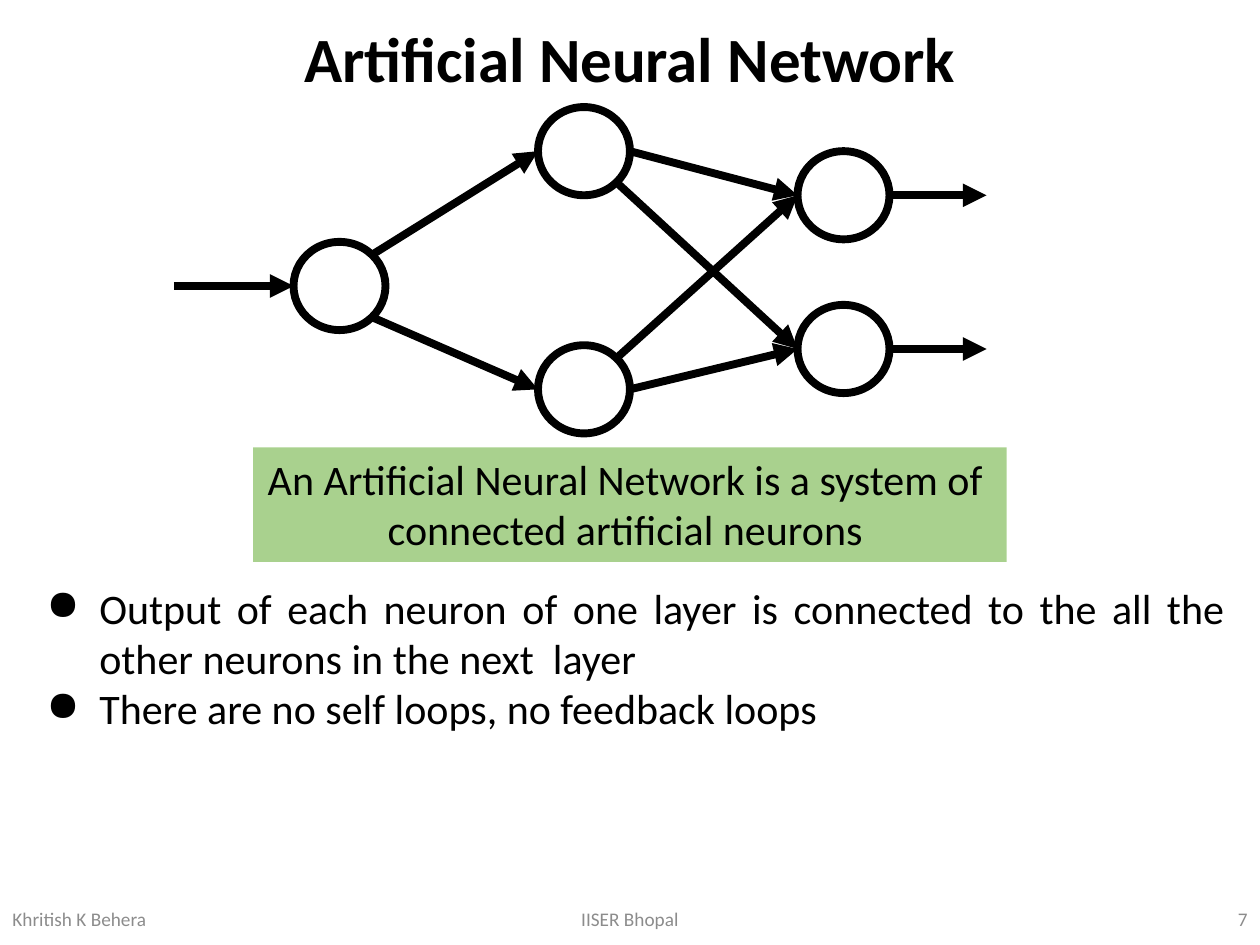
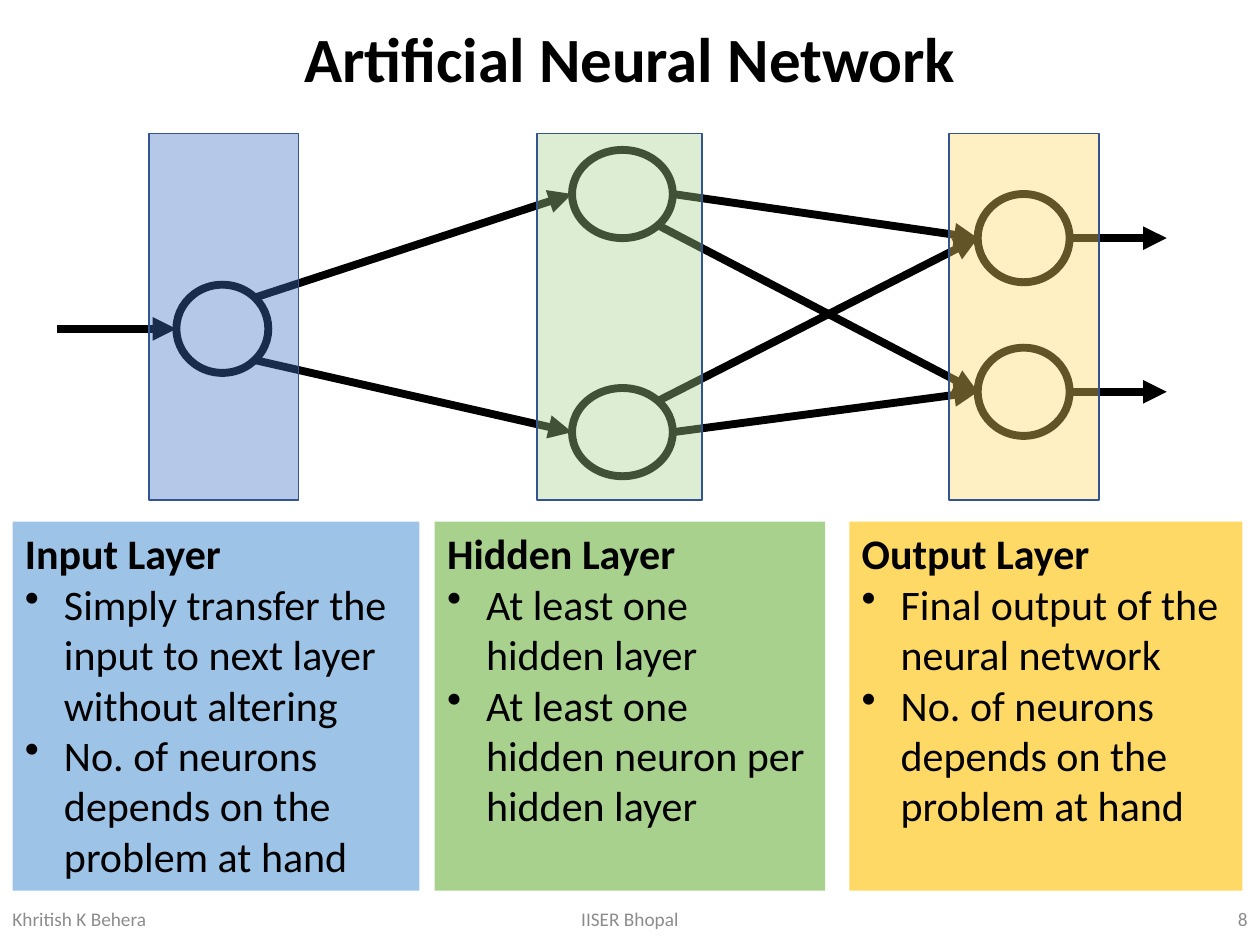
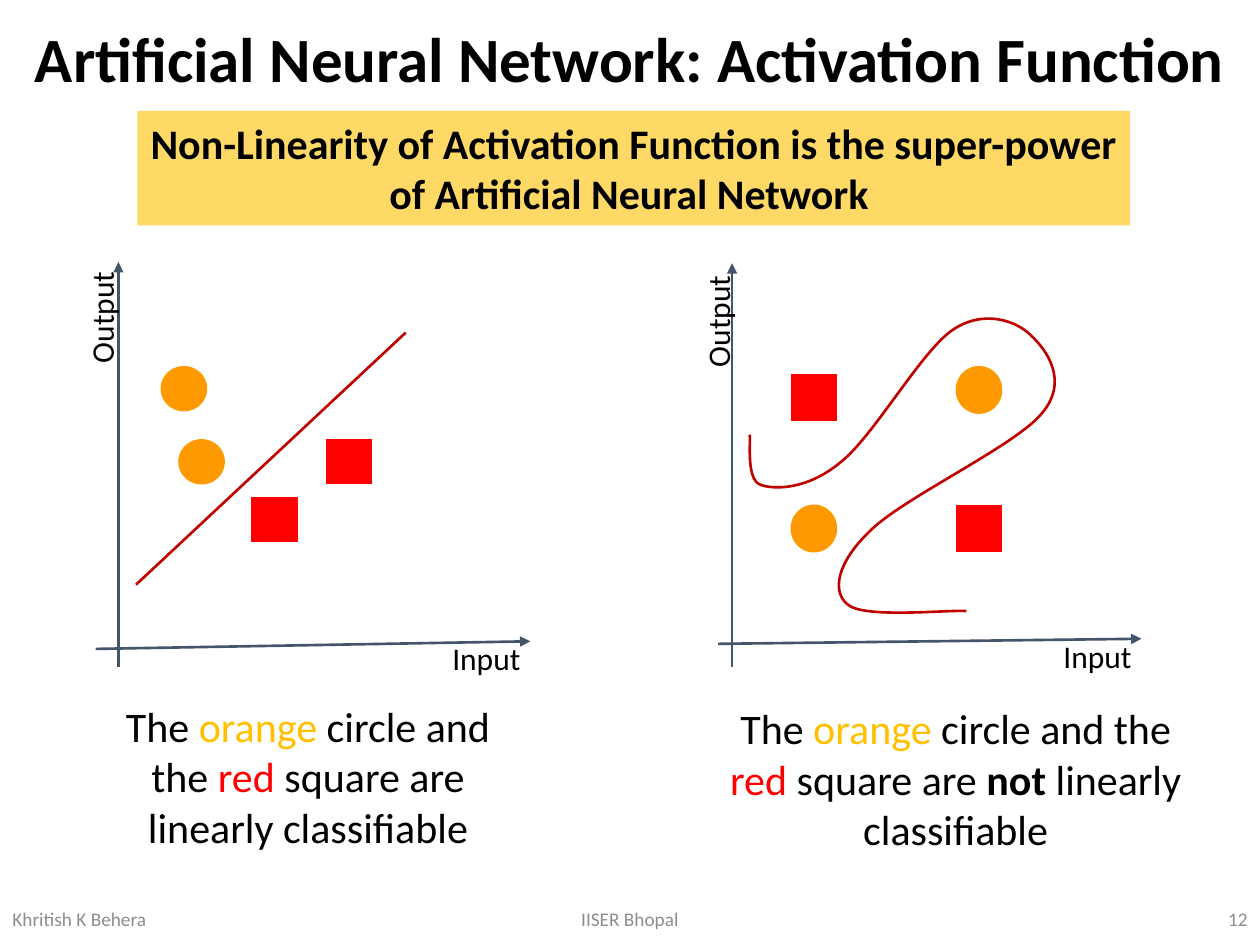
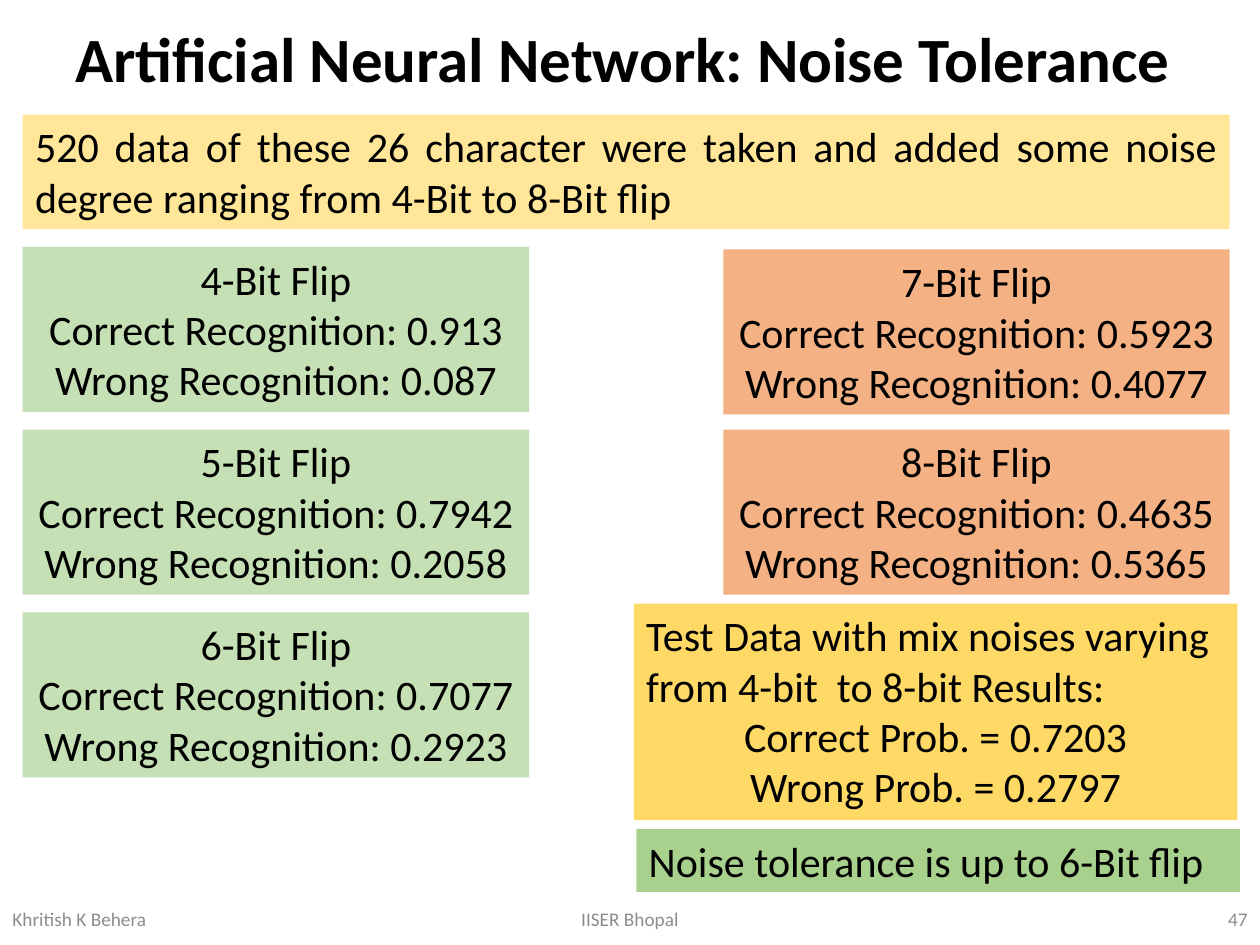
from lxml.etree import SubElement
from pptx import Presentation
from pptx.dml.color import RGBColor
from pptx.enum.shapes import MSO_CONNECTOR, MSO_SHAPE
from pptx.enum.text import MSO_ANCHOR, MSO_AUTO_SIZE, PP_ALIGN
from pptx.oxml.ns import qn
from pptx.util import Inches, Pt

# Shared look
HUES = {
    "black": "000000", "white": "FFFFFF", "grey": "8C8C8C", "slate": "44546A",
    "navy": "325491", "blue": "4472C4", "sky": "9DC3E6", "green": "A9D18E",
    "mint": "C5E0B4", "gold": "FFD966", "cream": "FFE699", "peach": "F4B183",
    "amber": "FFC000", "orange": "FF9900", "red": "FF0000", "wine": "C00000",
}
RGB = {name: RGBColor.from_string(code) for name, code in HUES.items()}
LEFT, MID, RIGHT, FULL = (PP_ALIGN.LEFT, PP_ALIGN.CENTER,
                          PP_ALIGN.RIGHT, PP_ALIGN.JUSTIFY)
BOX, OVAL = MSO_SHAPE.RECTANGLE, MSO_SHAPE.OVAL
BODY = {"name": "Calibri", "size": Pt(24), "bold": False}
HEAD = {"name": "Calibri", "size": Pt(36), "bold": True}
BOLD = {"bold": True}
NOTE = {"size": Pt(11), "hue": "grey"}
AXIS = {"size": Pt(18)}
MARKS = {"●": (0.5, -0.42), "•": (0.31, -0.31)}  # left indent, hang

# Grid of 100 columns and 75 rows
deck = Presentation()
deck.slide_width, deck.slide_height = Inches(10), Inches(7.5)
COL, ROW = deck.slide_width / 100, deck.slide_height / 75


def put(slide, kind, box, fill=None, edge=None, paras=(), alpha=None, grow=True):
    """Add a shape, or a text box if kind is None.

    edge is (hue, points); a paragraph is (align, bullet, run, ...);
    a run is a text or (text, format).
    """
    x, y, w, h = box
    area = [int(v) for v in (x * COL, y * ROW, w * COL, h * ROW)]
    if kind is None:
        item = slide.shapes.add_textbox(*area)
    else:
        item = slide.shapes.add_shape(kind, *area)
        item.shadow.inherit = False
        item.fill.solid()
        item.fill.fore_color.rgb = RGB[fill]
        if alpha:
            tint = item._element.spPr.find(qn("a:solidFill"))[0]
            SubElement(tint, qn("a:alpha"), val=str(alpha * 1000))
        if edge:
            item.line.color.rgb, item.line.width = RGB[edge[0]], Pt(edge[1])
        else:
            item.line.fill.background()
    if not paras:
        return item
    frame = item.text_frame
    frame.word_wrap = True
    frame.vertical_anchor = MSO_ANCHOR.TOP if grow else MSO_ANCHOR.MIDDLE
    frame.auto_size = MSO_AUTO_SIZE.SHAPE_TO_FIT_TEXT if grow else MSO_AUTO_SIZE.NONE
    for n, (align, mark, *runs) in enumerate(paras):
        para = frame.add_paragraph() if n else frame.paragraphs[0]
        para.alignment = align
        if mark:
            props = para._p.get_or_add_pPr()
            for key, size in zip(("marL", "indent"), MARKS[mark]):
                props.set(key, str(Inches(size)))
            SubElement(props, qn("a:buChar"), char=mark)
        for part in runs:
            text, look = (part, {}) if isinstance(part, str) else part
            run = para.add_run()
            run.text = text
            look = {"hue": "black", **BODY, **look}
            run.font.color.rgb = RGB[look.pop("hue")]
            for key, value in look.items():
                setattr(run.font, key, value)
    return item


def link(slide, start, end, hue="black", width=4.5, arrow=True):
    """Draw a straight line between two grid points."""
    ends = [int(v) for x, y in (start, end) for v in (x * COL, y * ROW)]
    line = slide.shapes.add_connector(MSO_CONNECTOR.STRAIGHT, *ends)
    line.line.color.rgb, line.line.width = RGB[hue], Pt(width)
    if arrow:
        SubElement(line.line._get_or_add_ln(), qn("a:tailEnd"), type="triangle")
    SubElement(line._element.spPr, qn("a:effectLst"))


# Titles and footers
name = "Artificial Neural Network"
pages = []
for title, number in ((name, 7), (name, 8), (name + ": Activation Function", 12),
                      (name + ": Noise Tolerance ", 47)):
    page = deck.slides.add_slide(deck.slide_layouts[5])
    pages.append(page)
    head = page.shapes.title
    head.left, head.top = 0, int(0.1 * ROW)
    head.width, head.height = deck.slide_width, int(9.6 * ROW)
    frame = head.text_frame
    frame.text = title
    frame.auto_size, frame.vertical_anchor = MSO_AUTO_SIZE.NONE, MSO_ANCHOR.MIDDLE
    para = frame.paragraphs[0]
    para.alignment, para.line_spacing = MID, 0.9
    para.font.color.rgb = RGB["black"]
    for key, value in HEAD.items():
        setattr(para.font, key, value)
    for x, w, align, text in ((0, 22.5, LEFT, "Khritish K Behera"),
                              (33.1, 33.8, MID, "IISER Bhopal"),
                              (77.5, 22.5, RIGHT, str(number))):
        put(page, None, (x, 70.9, w, 4), paras=[(align, None, (text, NOTE))], grow=False)
plain, layers, curves, noise = pages

# Networks: the same tops, moved down, with a column for each layer
TOPS = ((19.2,), (8.5, 27.4), (12, 24.2))
HIGH = 7
for page, drop, spans in ((plain, 0, ((23.3, 7.3), (42.7, 7.3), (63.3, 7.3))),
                          (layers, 3.4, ((14, 7.3), (45.4, 8), (77.6, 7.3)))):
    nodes = []
    for (x, w), tops in zip(spans, TOPS):
        group = []
        for top in tops:
            y = top + drop
            put(page, OVAL, (x, y, w, HIGH), "white", ("black", 4.5))
            mid, dx, dy = y + HIGH / 2, w / 2 * 0.71, HIGH / 2 * 0.71
            group.append({"in": (x, mid), "out": (x + w, mid),
                          "up": (x + w / 2 + dx, mid - dy),
                          "down": (x + w / 2 + dx, mid + dy)})
        nodes.append(group)
    (first,), hidden, last = nodes
    for side, node in zip(("up", "down"), hidden):
        link(page, first[side], node["in"])
    for n, node in enumerate(hidden):
        for m, goal in enumerate(last):
            side = "out" if n == m else ("down" if m > n else "up")
            link(page, node[side], goal["in"])
    for node in last:
        x, y = node["out"]
        link(page, (x, y), (x + 7.7, y))
    x, y = first["in"]
    link(page, (x - 9.5, y), (x, y))

# Plain network: definition and notes
put(plain, BOX, (20.1, 35.5, 59.8, 9.1), "green", paras=[
    (MID, None, "An Artificial Neural Network is a system of "),
    (MID, None, "connected artificial neurons ")])
put(plain, None, (1.9, 45.7, 96.3, 13.1), paras=[
    (FULL, "●", "Output of each neuron of one layer is connected to the all "
                "the other neurons in the next  layer"),
    (FULL, "●", "There are no self loops, no feedback loops")])

# Layers: tinted bands and cards
hand = "No. of neurons depends on the problem at hand"
for band, tint, card, fill, title, *notes in (
        ((42.6, 13.1), "green", (34.5, 31), "green", "Hidden Layer",
         "At least one hidden layer", "At least one hidden neuron per hidden layer"),
        ((11.8, 11.9), "blue", (1, 32.3), "sky", "Input Layer",
         "Simply transfer the input to next layer without altering", hand),
        ((75.3, 11.9), "gold", (67.4, 31.2), "gold", "Output Layer",
         "Final output of the neural network", hand)):
    put(layers, BOX, (band[0], 10.6, band[1], 29.1), tint, ("navy", 1), alpha=39)
    put(layers, BOX, (card[0], 41.4, card[1], 29.3), fill, paras=[
        (LEFT, None, (title, BOLD)), *[(LEFT, "•", note) for note in notes]])

# Activation: banner
put(curves, BOX, (10.9, 8.8, 78.8, 9.1), "gold", paras=[
    (MID, None, ("Non-Linearity of Activation Function is the super-power "
                 "of Artificial Neural Network ", BOLD))])

# Activation: two plots with axes, dots, labels and captions
orange, red = ("orange", {"hue": "amber"}), ("red", {"hue": "red"})
for axes, high, dots, labels, box, tail in (
        ((((9.4, 52.9), (9.4, 20.8)), ((7.6, 51.5), (42.1, 50.9))), 3.5,
         ((OVAL, 12.8, 29.1), (OVAL, 14.2, 34.9), (BOX, 25.9, 34.9), (BOX, 20, 39.5)),
         ((34, 50.2), (2.7, 23.2)), (7.6, 55.1, 33.7, 13.1),
         (" square are linearly classifiable",)),
        ((((58.1, 52.9), (58.1, 20.9)), ((57, 51.1), (90.6, 50.7))), 3.7,
         ((OVAL, 75.9, 29.1), (OVAL, 62.8, 40.1), (BOX, 62.8, 29.7), (BOX, 75.9, 40.1)),
         ((82.5, 50.1), (51.6, 23.5)), (55.8, 55.3, 40.1, 13.1),
         (" square are ", ("not", BOLD), " linearly classifiable"))):
    for start, end in axes:
        link(curves, start, end, "slate", 1.5)
    for kind, x, y in dots:
        hue = "orange" if kind == OVAL else "red"
        put(curves, kind, (x, y, 3.6, high), hue, (hue, 0.75))
    for (x, y), w, turn, text in zip(labels, (9.2, 10.7), (0, 270), ("Input", "Output")):
        label = put(curves, None, (x, y, w, 4), paras=[(MID, None, (text, AXIS))])
        label.rotation = turn
    put(curves, None, box, paras=[
        (MID, None, "The ", orange, " circle and the ", red, *tail)])

# Activation: straight and curved borders
link(curves, (10.8, 46.4), (32.2, 26.4), "wine", 1.5, arrow=False)
knots = [(59.5, 34.5),
         (59.6, 35.2), (59.2, 38.1), (60.4, 38.5), (61.6, 38.9), (64.2, 38.8), (66.7, 36.7),
         (69.3, 34.7), (73.1, 27.9), (75.6, 26.2), (78.1, 24.5), (80.7, 25.5), (81.8, 26.6),
         (83, 27.7), (84.9, 30.2), (82.7, 32.8), (80.6, 35.4), (71.5, 39.6), (69, 42.2),
         (66.4, 44.7), (66, 47), (67.3, 48), (68.6, 49.1), (75.1, 48.4), (76.7, 48.5)]
start, *rest = [(int(x * COL), int(y * ROW)) for x, y in knots]
pen = curves.shapes.build_freeform(*start)
pen.add_line_segments(rest, close=False)
wave = pen.convert_to_shape()
wave.shadow.inherit = False
wave.fill.background()
wave.line.color.rgb, wave.line.width = RGB["wine"], Pt(1.5)
# Each three points become one Bezier segment
trace = wave._element.find(".//" + qn("a:path"))
steps = trace.findall(qn("a:lnTo"))
for n in range(0, len(steps), 3):
    bend = SubElement(trace, qn("a:cubicBezTo"))
    for step in steps[n:n + 3]:
        bend.append(step[0])
        trace.remove(step)

# Noise: results of mixed data, verdict and intro
put(noise, BOX, (50.3, 47.9, 47.9, 17.2), "gold", paras=[
    (LEFT, None, "Test Data with mix noises varying from 4-bit  to 8-bit Results:"),
    (MID, None, "Correct Prob. = 0.7203"),
    (MID, None, "Wrong Prob. = 0.2797")])
put(noise, BOX, (50.5, 65.8, 47.9, 5), "green", paras=[
    (LEFT, None, "Noise tolerance is up to 6-Bit flip")])
put(noise, BOX, (1.8, 9.1, 95.8, 9.1), "cream", paras=[
    (FULL, None, "520 data of these 26 character were taken and added some noise "
                 "degree ranging from 4-Bit to 8-Bit flip ")])

# Noise: one card for each flip
for x, y, step, fill, cards in (
        (1.8, 19.6, 14.5, "mint",
         ((4, "0.913", "0.087"), (5, "0.7942", "0.2058"), (6, "0.7077", "0.2923"))),
        (57.4, 19.8, 14.3, "peach",
         ((7, "0.5923", "0.4077"), (8, "0.4635", "0.5365")))):
    for n, (bits, good, bad) in enumerate(cards):
        put(noise, BOX, (x, y + n * step, 40.2, 13.1), fill, paras=[
            (MID, None, f"{bits}-Bit Flip"),
            (MID, None, f"Correct Recognition: {good}"),
            (MID, None, f"Wrong Recognition: {bad}")])

deck.save("out.pptx")
